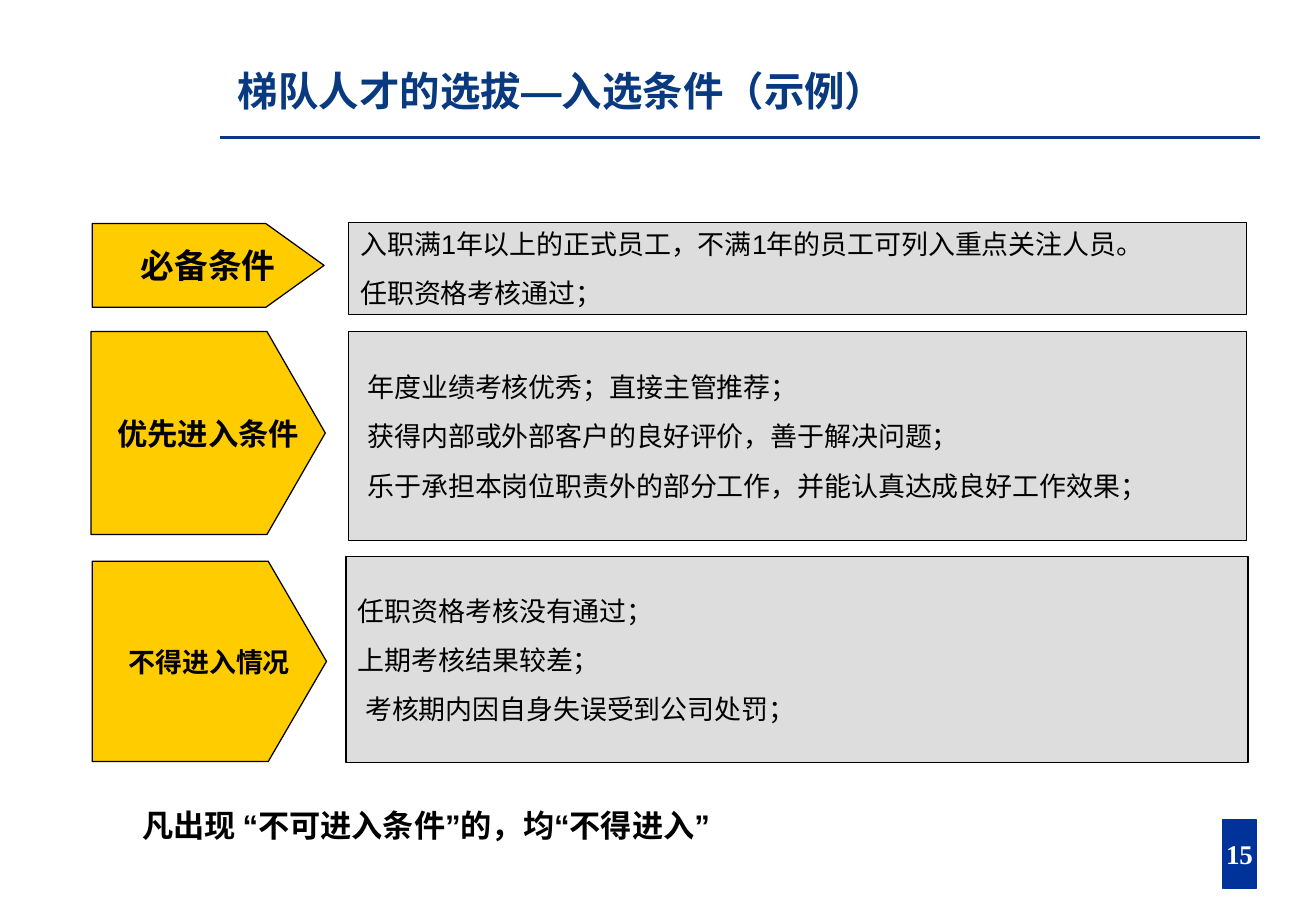
from pptx import Presentation
from pptx.dml.color import RGBColor
from pptx.enum.shapes import MSO_CONNECTOR, MSO_SHAPE
from pptx.enum.text import MSO_ANCHOR, MSO_AUTO_SIZE, PP_ALIGN
from pptx.oxml.ns import qn
from pptx.util import Inches, Pt
from lxml import etree

RECTANGLE = MSO_SHAPE.RECTANGLE
STRAIGHT = MSO_CONNECTOR.STRAIGHT
LEFT, CENTER = PP_ALIGN.LEFT, PP_ALIGN.CENTER
TOP, MIDDLE, BOTTOM = MSO_ANCHOR.TOP, MSO_ANCHOR.MIDDLE, MSO_ANCHOR.BOTTOM
NO_FIT = MSO_AUTO_SIZE.NONE

COLORS = {
    "navy": "093A80",
    "badge": "003399",
    "arrow": "FFCC00",
    "panel": "DDDDDD",
    "ink": "000000",
    "white": "FFFFFF",
}
COLORS = {name: RGBColor.from_string(code) for name, code in COLORS.items()}
LATIN, CHINESE, SERIF = "Arial", "Noto Sans CJK SC", "Times New Roman"


def style_span(span, size, color, bold=False, latin=LATIN, asian=CHINESE):
    span.font.size = Pt(size)
    span.font.bold = bold
    span.font.color.rgb = COLORS[color]
    span.font.name = latin
    etree.SubElement(span.font._element, qn("a:ea")).set("typeface", asian)


def style_shape(shape, fill, line, width):
    shape.shadow.inherit = False
    shape.fill.solid()
    shape.fill.fore_color.rgb = COLORS[fill]
    shape.line.color.rgb = COLORS[line]
    shape.line.width = Pt(width)
    shape.text_frame.vertical_anchor = MIDDLE


deck = Presentation()
deck.slide_width, deck.slide_height = Inches(10.84), Inches(7.5)
page = deck.slides.add_slide(deck.slide_layouts[1])
shapes = page.shapes

rule = shapes.add_connector(STRAIGHT, Inches(1.81), Inches(1.13), Inches(10.38), Inches(1.13))
rule.line.color.rgb = COLORS["navy"]
rule.line.width = Pt(2)
etree.SubElement(rule._element.spPr, qn("a:effectLst"))

badge = shapes.add_shape(RECTANGLE, Inches(10.07), Inches(6.75), Inches(0.28), Inches(0.56))
style_shape(badge, "badge", "badge", 1)
badge.text_frame.word_wrap = False
badge.text_frame.text = "15"
badge.text_frame.paragraphs[0].alignment = CENTER
style_span(badge.text_frame.paragraphs[0].runs[0], 16, "white", True, SERIF)

headings = [
    (shapes.title, (1.96, 0.39, 6.06, 0.55), BOTTOM, 0.8, 24, "navy",
     ["梯队人才的选拔", "—", "入选条件（示例）"]),
    (page.placeholders[1], (1.17, 6.56, 5.53, 0.47), TOP, 1.25, 18.5, "ink",
     ["凡出现 ", "“", "不可进入条件", "”", "的，均", "“", "不得进入", "”"]),
]
for box, place, anchor, spacing, size, color, pieces in headings:
    box.left, box.top, box.width, box.height = map(Inches, place)
    frame = box.text_frame
    frame.margin_left = frame.margin_right = frame.margin_top = frame.margin_bottom = 0
    frame.vertical_anchor = anchor
    frame.auto_size = NO_FIT
    frame.word_wrap = True
    para = frame.paragraphs[0]
    para.alignment = LEFT
    para.line_spacing = spacing
    para.space_before = Pt(0)
    properties = para._p.get_or_add_pPr()
    properties.set("marL", "0")
    properties.set("indent", "0")
    etree.SubElement(properties, qn("a:buNone"))
    for piece in pieces:
        span = para.add_run()
        span.text = piece
        font = LATIN if piece in "—“”" else CHINESE
        style_span(span, size, color, True, font, font)

TIP = 0.48
INDENT = Inches(0.06)
conditions = [
    ("必备条件", 20, (0.76, 1.84, 1.91, 0.69), (2.87, 1.83, 7.4, 0.76),
     [("入职满1年以上的正式员工，不满1年的员工可列入重点关注人员。", 0),
      ("任职资格考核通过；", 0)]),
    ("优先进入条件", 18, (0.75, 2.73, 1.93, 1.67), (2.87, 2.73, 7.4, 1.72),
     [("年度业绩考核优秀；直接主管推荐；", INDENT),
      ("获得内部或外部客户的良好评价，善于解决问题；", INDENT),
      ("乐于承担本岗位职责外的部分工作，并能认真达成良好工作效果；", INDENT)]),
    ("不得进入情况", 16, (0.76, 4.62, 1.93, 1.65), (2.85, 4.58, 7.43, 1.7),
     [("任职资格考核没有通过；", 0),
      ("上期考核结果较差；", 0),
      ("考核期内因自身失误受到公司处罚；", INDENT)]),
]
for label, size, (left, top, width, height), panel_place, items in conditions:
    right, bottom = left + width, top + height
    outline = [(right - TIP, top), (right, top + height / 2), (right - TIP, bottom), (left, bottom)]
    builder = shapes.build_freeform(Inches(left), Inches(top))
    builder.add_line_segments([(Inches(x), Inches(y)) for x, y in outline], close=True)
    arrow = builder.convert_to_shape()
    style_shape(arrow, "arrow", "ink", 0.75)
    arrow.text_frame.word_wrap = False
    arrow.text_frame.text = label
    arrow.text_frame.paragraphs[0].alignment = CENTER
    style_span(arrow.text_frame.paragraphs[0].runs[0], size, "ink", True)

    panel = shapes.add_shape(RECTANGLE, *map(Inches, panel_place))
    style_shape(panel, "panel", "ink", 0.75)
    panel.text_frame.word_wrap = True
    panel.text_frame.text = "\n".join(text for text, indent in items)
    for number, (para, (text, indent)) in enumerate(zip(panel.text_frame.paragraphs, items)):
        para.alignment = LEFT
        para.space_before = Pt(10 if number else 0)
        para._p.get_or_add_pPr().set("marL", str(indent))
        style_span(para.runs[0], 16, "ink")

deck.save("out.pptx")
